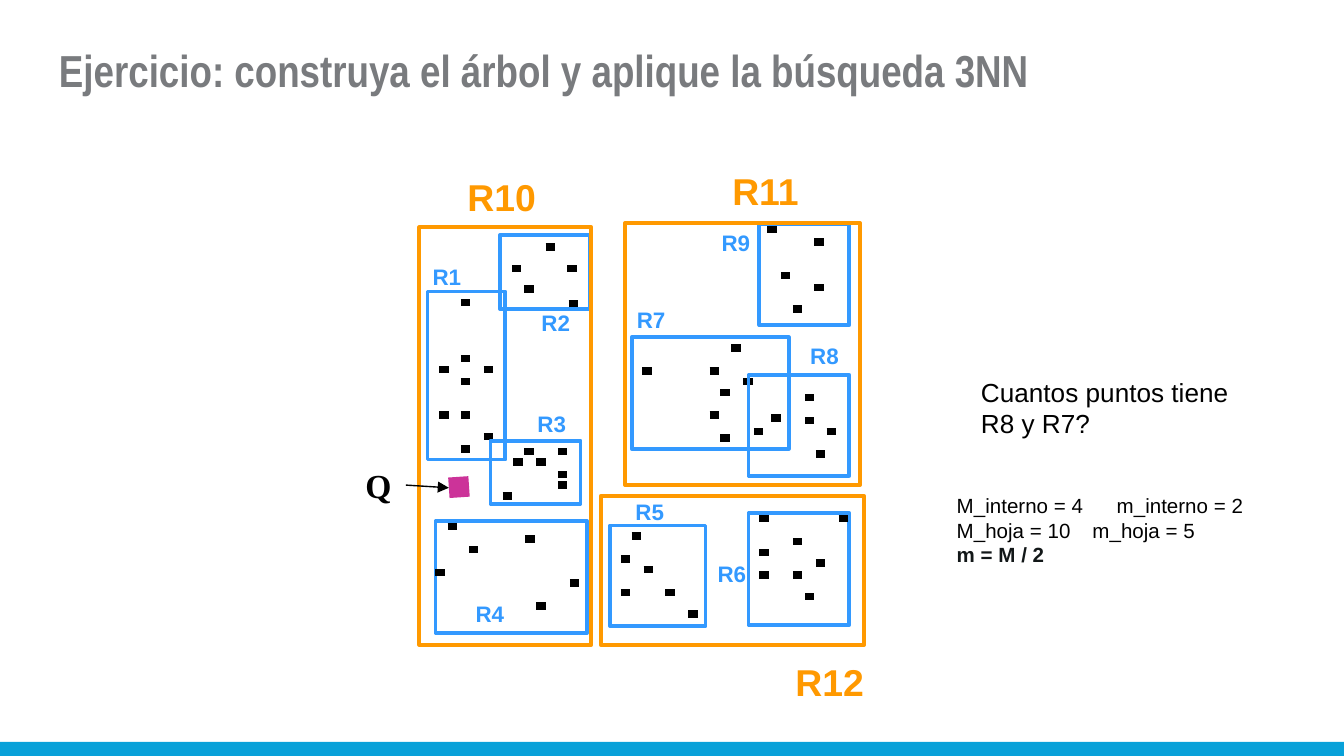
from dataclasses import dataclass
from typing import Optional

from lxml.etree import SubElement as Sub
from pptx import Presentation
from pptx.dml.color import RGBColor as Color
from pptx.enum.shapes import MSO_CONNECTOR as Link, MSO_SHAPE as Form
from pptx.enum.text import MSO_ANCHOR as Anchor, MSO_AUTO_SIZE as Auto
from pptx.oxml.ns import qn
from pptx.util import Cm, Pt


@dataclass(frozen=True)
class Font:
    size: float
    color: str
    bold: bool = True
    face: str = "Arial"


@dataclass(frozen=True)
class Theme:
    bar: str = "08A1D9"
    leaf: str = "3399FF"
    node: str = "FF9900"
    query: str = "CC3399"
    ink: str = "000000"
    edge: float = 2
    dot: float = 4
    mark: float = 11
    thin: float = 0.75
    title: Font = Font(24, "797B7E", face="Arial Narrow")
    big: Font = Font(20, "FF9900")
    small: Font = Font(12, "3399FF")
    point: Font = Font(18, "000000", face="Times New Roman")
    ask: Font = Font(14, "000000", False)
    note: Font = Font(11, "000000", False)
    rule: Font = Font(11, "121718")


@dataclass(frozen=True)
class Box:
    left: float
    top: float
    width: float
    height: float


@dataclass(frozen=True)
class Zone:
    name: str
    frame: Box
    label: Box
    dots: tuple = ()


@dataclass(frozen=True)
class Line:
    words: str
    font: Font
    tab: Optional[float] = None


LOOK = Theme()
DOT = 0.07


def inch(size: float) -> Cm:
    return Cm(size * 2.54)


def place(box: Box) -> tuple:
    return tuple(inch(v) for v in (box.left, box.top, box.width, box.height))


def tag(left: float, top: float) -> Box:
    return Box(left, top, 0.41, 0.3)


def draw_rect(slide, box: Box, fill: Optional[str] = None, edge: Optional[str] = None):
    shape = slide.shapes.add_shape(Form.RECTANGLE, *place(box))
    shape.shadow.inherit = False
    if fill:
        shape.fill.solid()
        shape.fill.fore_color.rgb = Color.from_string(fill)
    else:
        shape.fill.background()
    if edge:
        shape.line.color.rgb = Color.from_string(edge)
        shape.line.width = Pt(LOOK.edge)
    else:
        shape.line.fill.background()


def draw_line(slide, start: tuple, end: tuple, color: str, width: float, arrow: bool = False):
    line = slide.shapes.add_connector(Link.STRAIGHT, *map(inch, start + end))
    line.line.color.rgb = Color.from_string(color)
    line.line.width = Pt(width)
    if arrow:
        Sub(line.line._get_or_add_ln(), qn("a:tailEnd"), type="triangle")
    Sub(line._element.spPr, qn("a:effectLst"))


def draw_text(slide, box: Box, *lines: Line, wrap: bool = False, pad: float = 0.05):
    frame = slide.shapes.add_textbox(*place(box)).text_frame
    frame.word_wrap = wrap
    frame.auto_size = Auto.NONE
    frame.margin_left = frame.margin_right = inch(0.1)
    frame.margin_top = frame.margin_bottom = inch(pad)
    for i, line in enumerate(lines):
        para = frame.add_paragraph() if i else frame.paragraphs[0]
        if line.tab:
            tabs = Sub(para._p.get_or_add_pPr(), qn("a:tabLst"))
            Sub(tabs, qn("a:tab"), pos=str(int(inch(line.tab))), algn="l")
        run = para.add_run()
        run.text = line.words
        run.font.name = line.font.face
        run.font.size = Pt(line.font.size)
        run.font.bold = line.font.bold
        run.font.color.rgb = Color.from_string(line.font.color)
    return frame


def draw_zone(slide, zone: Zone, edge: str, font: Font):
    draw_rect(slide, zone.frame, edge=edge)
    for x, y in zone.dots:
        draw_line(slide, (x, y), (x + DOT, y), LOOK.ink, LOOK.dot)
    draw_text(slide, zone.label, Line(zone.name, font))


LEAVES = (
    Zone("R5", Box(4.54, 3.91, 0.71, 0.75), tag(4.63, 3.66),
         ((4.62, 4.41), (4.79, 4.24), (4.95, 4.41), (5.12, 4.57), (4.62, 4.16), (4.7, 3.99))),
    Zone("R9", Box(5.65, 1.67, 0.67, 0.75), tag(5.27, 1.66),
         ((5.9, 2.3), (5.81, 2.05), (6.06, 1.8), (5.71, 1.71), (6.06, 2.14))),
    Zone("R1", Box(3.18, 2.17, 0.58, 1.25), tag(3.12, 1.91),
         ((3.43, 2.67), (3.27, 3.09), (3.43, 3.34), (3.43, 3.09), (3.27, 2.75),
          (3.6, 2.75), (3.43, 2.84), (3.6, 3.25), (3.43, 2.25))),
    Zone("R7", Box(4.7, 2.51, 1.17, 0.83), tag(4.64, 2.23),
         ((5.44, 2.59), (5.53, 2.84), (5.36, 3.26), (5.28, 3.09), (5.36, 2.92),
          (5.28, 2.76), (5.74, 3.11), (4.78, 2.76))),
    Zone("R3", Box(3.65, 3.28, 0.67, 0.47), tag(3.9, 3),
         ((4.15, 3.53), (3.99, 3.44), (3.9, 3.36), (4.15, 3.36), (3.82, 3.44),
          (4.15, 3.61), (3.74, 3.69))),
    Zone("R6", Box(5.57, 3.82, 0.75, 0.83), tag(5.24, 4.12),
         ((5.9, 4.28), (6.07, 4.19), (5.99, 4.44), (5.65, 4.28), (5.65, 4.11),
          (5.65, 3.86), (6.24, 3.86), (5.9, 4.03))),
    Zone("R8", Box(5.57, 2.79, 0.75, 0.75), tag(5.93, 2.5),
         ((5.99, 3.13), (6.07, 3.38), (5.99, 2.96), (5.61, 3.21), (6.15, 3.21))),
    Zone("R4", Box(3.24, 3.88, 1.13, 0.83), tag(3.44, 4.42),
         ((3.24, 4.26), (3.33, 3.92), (3.49, 4.09), (3.91, 4.01), (3.99, 4.51), (4.24, 4.34))),
    Zone("R2", Box(3.72, 1.75, 0.67, 0.55), tag(3.93, 2.25),
         ((3.81, 2), (4.22, 2), (3.9, 2.15), (4.06, 1.84), (4.23, 2.26))),
)
NODES = (
    Zone("R11", Box(4.65, 1.66, 1.75, 1.95), Box(5.35, 1.2, 0.69, 0.43)),
    Zone("R10", Box(3.12, 1.69, 1.28, 3.11), Box(3.38, 1.25, 0.71, 0.43)),
    Zone("R12", Box(4.47, 3.69, 1.96, 1.11), Box(5.82, 4.86, 0.71, 0.43)),
)


def main():
    deck = Presentation()
    deck.slide_width, deck.slide_height = Cm(25.4), Cm(14.29)
    slide = deck.slides.add_slide(deck.slide_layouts[6])

    draw_rect(slide, Box(0, 5.52, 10, 0.11), fill=LOOK.bar)
    title = draw_text(slide, Box(0.34, 0.17, 9.32, 0.69),
                      Line("Ejercicio: construya el árbol y aplique la búsqueda 3NN", LOOK.title),
                      wrap=True, pad=0.1)
    title.vertical_anchor = Anchor.MIDDLE

    for leaf in LEAVES:
        draw_zone(slide, leaf, LOOK.leaf, LOOK.small)
    for node in NODES:
        draw_zone(slide, node, LOOK.node, LOOK.big)

    draw_line(slide, (3.34, 3.63), (3.49, 3.62), LOOK.query, LOOK.mark)
    draw_text(slide, Box(2.62, 3.41, 0.39, 0.4), Line("Q", LOOK.point))
    draw_line(slide, (3.02, 3.61), (3.34, 3.63), LOOK.ink, LOOK.thin, arrow=True)

    draw_text(slide, Box(7.2, 2.75, 2.15, 0.57),
              Line("Cuantos puntos tiene R8 y R7?", LOOK.ask), wrap=True)
    draw_text(slide, Box(7.02, 3.62, 2.38, 0.66),
              Line("M_interno = 4\tm_interno = 2", LOOK.note, 1.19),
              Line("M_hoja = 10\tm_hoja = 5", LOOK.note, 1.01),
              Line("m = M / 2", LOOK.rule), wrap=True)
    deck.save("out.pptx")


if __name__ == "__main__":
    main()
